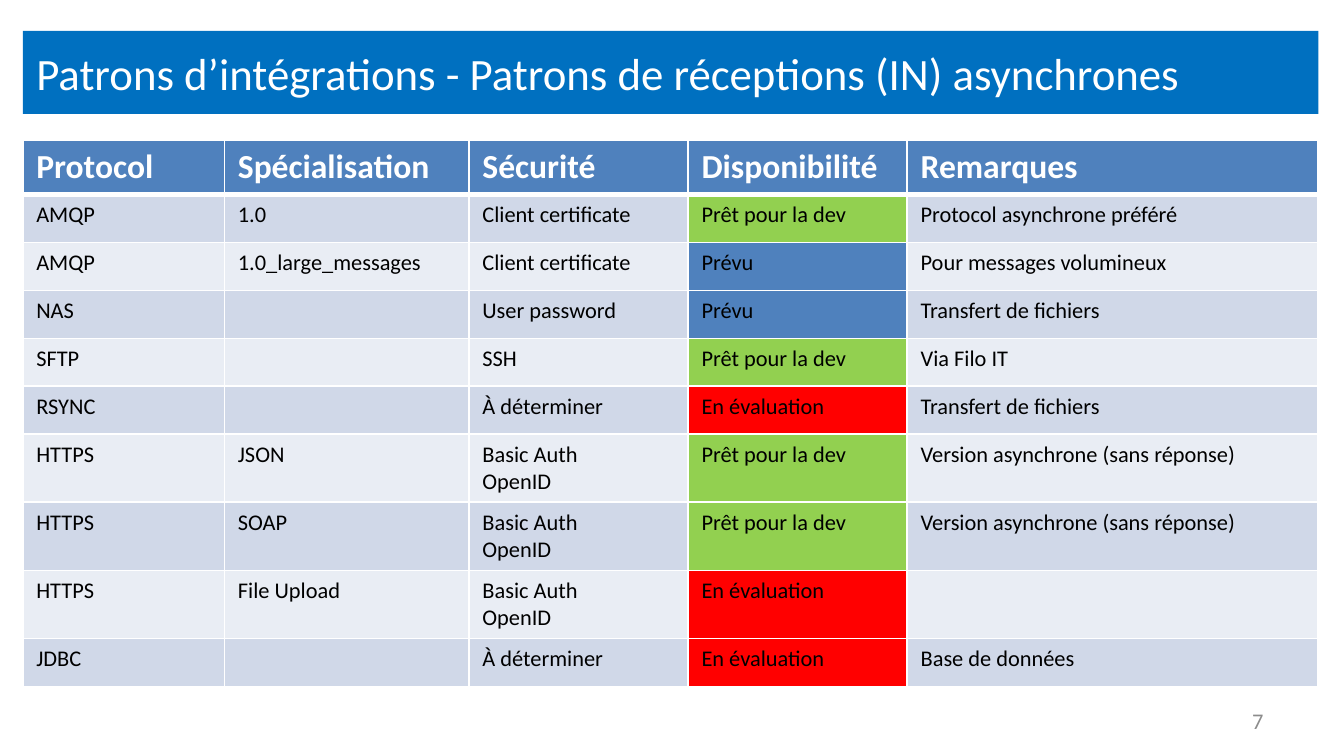
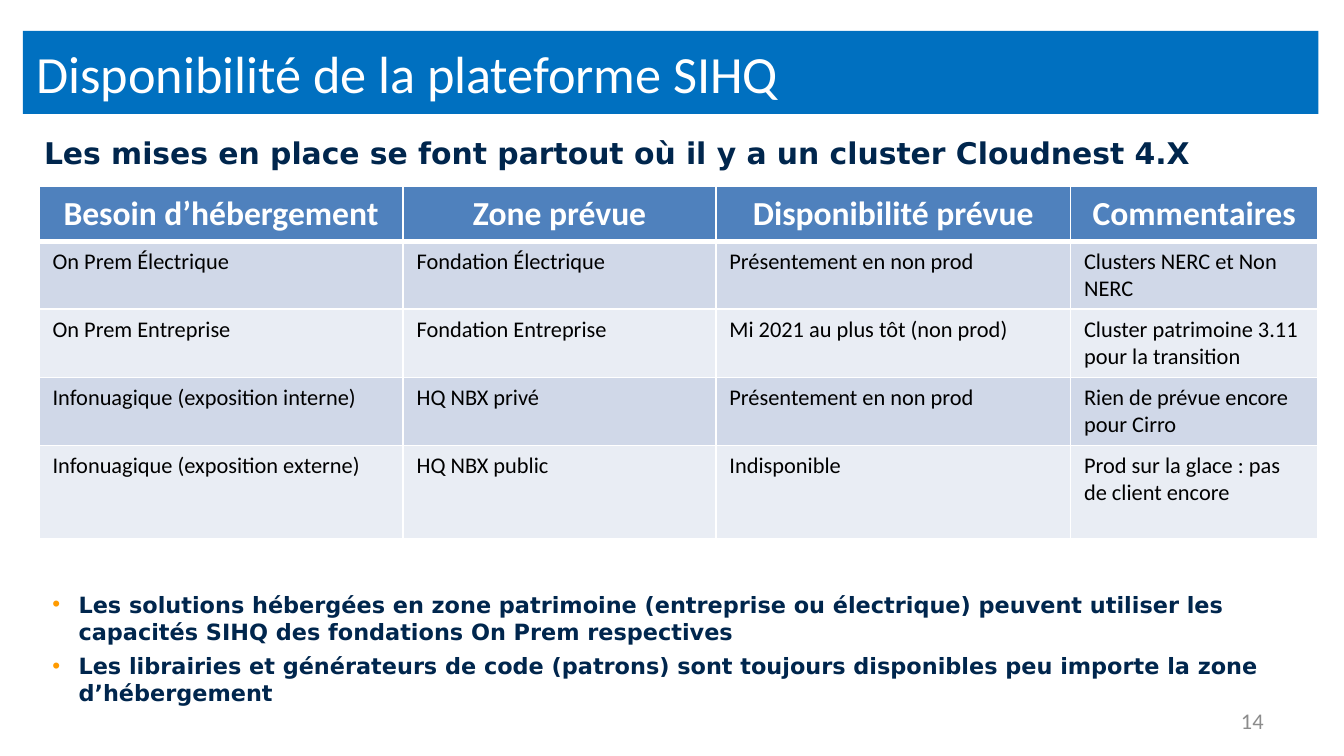
from lxml import etree
from pptx import Presentation
from pptx.dml.color import RGBColor
from pptx.enum.text import MSO_ANCHOR, MSO_AUTO_SIZE, PP_ALIGN
from pptx.oxml.ns import qn
from pptx.util import Pt

LEFT, CENTER, RIGHT = PP_ALIGN.LEFT, PP_ALIGN.CENTER, PP_ALIGN.RIGHT
MIDDLE, TOP = MSO_ANCHOR.MIDDLE, MSO_ANCHOR.TOP
NO_AUTOFIT = MSO_AUTO_SIZE.NONE

COLORS = {
    "band": "0070C0", "white": "FFFFFF", "black": "000000",
    "header": "4F81BD", "odd": "D0D8E8", "even": "E9EDF4",
    "ready": "92D050", "planned": "4F81BD", "evaluating": "FF0000",
    "navy": "00264D", "bullet": "FF9B00", "number": "8C8C8C",
}
BODY_FONT, NOTE_FONT = "Calibri", "DejaVu Sans"
TITLE_BOX = (12.24, 16.5, 694, 44.6)
NUMBER_BOX = (516, 375, 168, 21.6)

# Content
READY, PLANNED, EVALUATING = "Prêt pour la dev", "Prévu", "En évaluation"
STATUS_COLORS = {READY: "ready", PLANNED: "planned", EVALUATING: "evaluating"}
LOGIN = "Basic Auth\nOpenID"
NO_REPLY = "Version asynchrone (sans réponse)"

PATTERNS = {
    "title": "Patrons d’intégrations - Patrons de réceptions (IN) asynchrones",
    "title_size": 24,
    "number": "7",
    "origin": (12.24, 75),
    "columns": [108, 131, 117.4, 117.4, 220.2],
    "heights": [28] + [25.7] * 5 + [36.4] * 3 + [25.7],
    "header_align": LEFT,
    "rows": [
        ("Protocol", "Spécialisation", "Sécurité", "Disponibilité", "Remarques"),
        ("AMQP", "1.0", "Client certificate", READY, "Protocol asynchrone préféré"),
        ("AMQP", "1.0_large_messages", "Client certificate", PLANNED,
         "Pour messages volumineux"),
        ("NAS", "", "User password", PLANNED, "Transfert de fichiers"),
        ("SFTP", "", "SSH", READY, "Via Filo IT"),
        ("RSYNC", "", "À déterminer", EVALUATING, "Transfert de fichiers"),
        ("HTTPS", "JSON", LOGIN, READY, NO_REPLY),
        ("HTTPS", "SOAP", LOGIN, READY, NO_REPLY),
        ("HTTPS", "File Upload", LOGIN, EVALUATING, ""),
        ("JDBC", "", "À déterminer", EVALUATING, "Base de données"),
    ],
}

AVAILABILITY = {
    "title": "Disponibilité de la plateforme SIHQ",
    "title_size": 28,
    "number": "14",
    "origin": (21, 100),
    "columns": [195, 167.6, 190, 132.4],
    "heights": [29, 36, 36, 36, 50],
    "header_align": CENTER,
    "rows": [
        ("Besoin d’hébergement", "Zone prévue", "Disponibilité prévue", "Commentaires"),
        ("On Prem Électrique", "Fondation Électrique", "Présentement en non prod",
         "Clusters NERC et Non NERC"),
        ("On Prem Entreprise", "Fondation Entreprise", "Mi 2021 au plus tôt (non prod)",
         "Cluster patrimoine 3.11 pour la transition"),
        ("Infonuagique (exposition interne)", "HQ NBX privé",
         "Présentement en non prod", "Rien de prévue encore pour Cirro"),
        ("Infonuagique (exposition externe)", "HQ NBX public", "Indisponible",
         "Prod sur la glace : pas de client encore"),
    ],
}
INTRO = "Les mises en place se font partout où il y a un cluster Cloudnest 4.X"
REMARKS = [
    "Les solutions hébergées en zone patrimoine (entreprise ou électrique) peuvent "
    "utiliser les capacités SIHQ des fondations On Prem respectives",
    "Les librairies et générateurs de code (patrons) sont toujours disponibles peu "
    "importe la zone d’hébergement",
]


def rgb(name):
    return RGBColor.from_string(COLORS[name])


def add_run(paragraph, text, size, color, font=BODY_FONT, bold=False):
    run = paragraph.add_run()
    run.text = text
    run.font.size, run.font.name, run.font.bold = Pt(size), font, bold
    run.font.color.rgb = rgb(color)


def add_text_frame(slide, box, anchor=TOP):
    frame = slide.shapes.add_textbox(*map(Pt, box)).text_frame
    frame.word_wrap = True
    frame.vertical_anchor = anchor
    return frame


def add_bullet(paragraph):
    props = paragraph._p.get_or_add_pPr()
    props.set("marL", str(Pt(14)))
    props.set("indent", str(-Pt(14)))
    bullet_color = etree.SubElement(props, qn("a:buClr"))
    etree.SubElement(bullet_color, qn("a:srgbClr"), val=COLORS["bullet"])
    etree.SubElement(props, qn("a:buFont"), typeface="Arial")
    etree.SubElement(props, qn("a:buChar"), char="•")


def set_borders(cell, row):
    props = cell._tc.get_or_add_tcPr()
    widths = {"L": 1, "R": 1, "T": 3 if row == 1 else 1, "B": 3 if row == 0 else 1}
    for side, width in widths.items():
        line = etree.SubElement(props, qn(f"a:ln{side}"), w=str(Pt(width)))
        fill = etree.SubElement(line, qn("a:solidFill"))
        etree.SubElement(fill, qn("a:srgbClr"), val=COLORS["white"])


def fill_cell(cell, text, row, header_align):
    is_header = row == 0
    band = "header" if is_header else ("even", "odd")[row % 2]
    set_borders(cell, row)
    cell.fill.solid()
    cell.fill.fore_color.rgb = rgb(STATUS_COLORS.get(text, band))
    frame = cell.text_frame
    for index, line in enumerate(text.split("\n")):
        paragraph = frame.add_paragraph() if index else frame.paragraphs[0]
        paragraph.alignment = header_align if is_header else LEFT
        if is_header:
            add_run(paragraph, line, 18, "white", bold=True)
        elif line:
            add_run(paragraph, line, 12, "black")
        else:  # keeps an empty cell from stretching its row
            etree.SubElement(paragraph._p, qn("a:endParaRPr"), sz="1200")


def add_grid(slide, content):
    rows, columns, heights = content["rows"], content["columns"], content["heights"]
    box = (*content["origin"], sum(columns), sum(heights))
    table = slide.shapes.add_table(len(rows), len(columns), *map(Pt, box)).table
    table.horz_banding = False
    for column, width in zip(table.columns, columns):
        column.width = Pt(width)
    for r, (height, texts) in enumerate(zip(heights, rows)):
        table.rows[r].height = Pt(height)
        for c, text in enumerate(texts):
            fill_cell(table.cell(r, c), text, r, content["header_align"])


def add_content_slide(prs, content):
    slide = prs.slides.add_slide(prs.slide_layouts[5])

    # Title band
    title = slide.shapes.title
    title.left, title.top, title.width, title.height = map(Pt, TITLE_BOX)
    title.fill.solid()
    title.fill.fore_color.rgb = rgb("band")
    frame = title.text_frame
    frame.auto_size = NO_AUTOFIT
    frame.word_wrap = True
    frame.vertical_anchor = MIDDLE
    frame.paragraphs[0].alignment = LEFT
    add_run(frame.paragraphs[0], content["title"], content["title_size"], "white")

    # Table and page number
    add_grid(slide, content)
    number = add_text_frame(slide, NUMBER_BOX, MIDDLE).paragraphs[0]
    number.alignment = RIGHT
    add_run(number, content["number"], 12, "number")
    return slide


def main():
    prs = Presentation()
    prs.slide_width, prs.slide_height = Pt(720), Pt(405)

    add_content_slide(prs, PATTERNS)
    availability = add_content_slide(prs, AVAILABILITY)

    # Sentence above the table
    intro = add_text_frame(availability, (16.5, 68.5, 694, 26.6))
    add_run(intro.paragraphs[0], INTRO, 16, "navy", NOTE_FONT, True)

    # Remarks below the table
    remarks = add_text_frame(availability, (21, 313, 694, 88))
    for index, text in enumerate(REMARKS):
        paragraph = remarks.add_paragraph() if index else remarks.paragraphs[0]
        if index:
            paragraph.space_before = Pt(4)
        add_bullet(paragraph)
        add_run(paragraph, text, 12, "navy", NOTE_FONT, True)

    prs.save("out.pptx")


if __name__ == "__main__":
    main()
